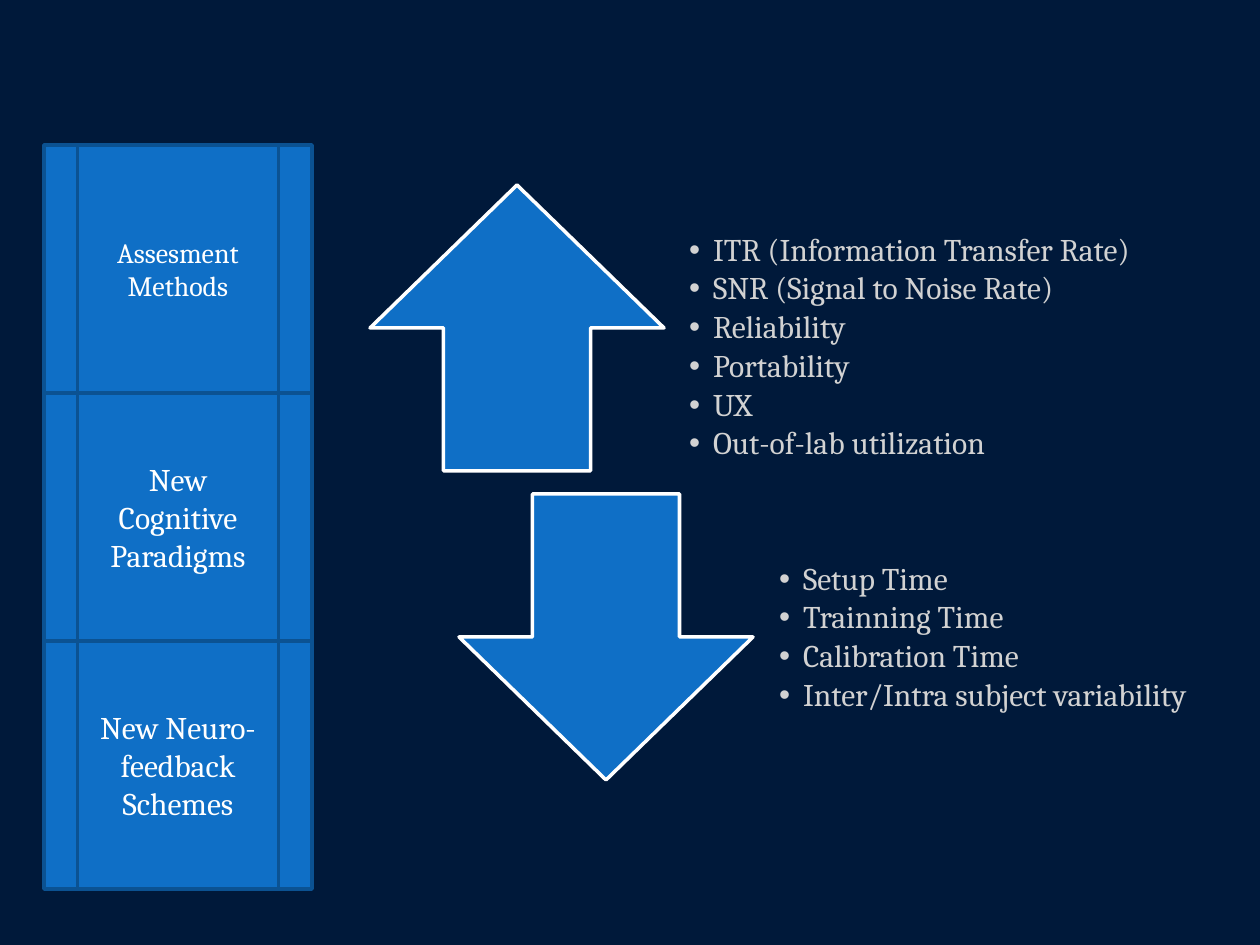
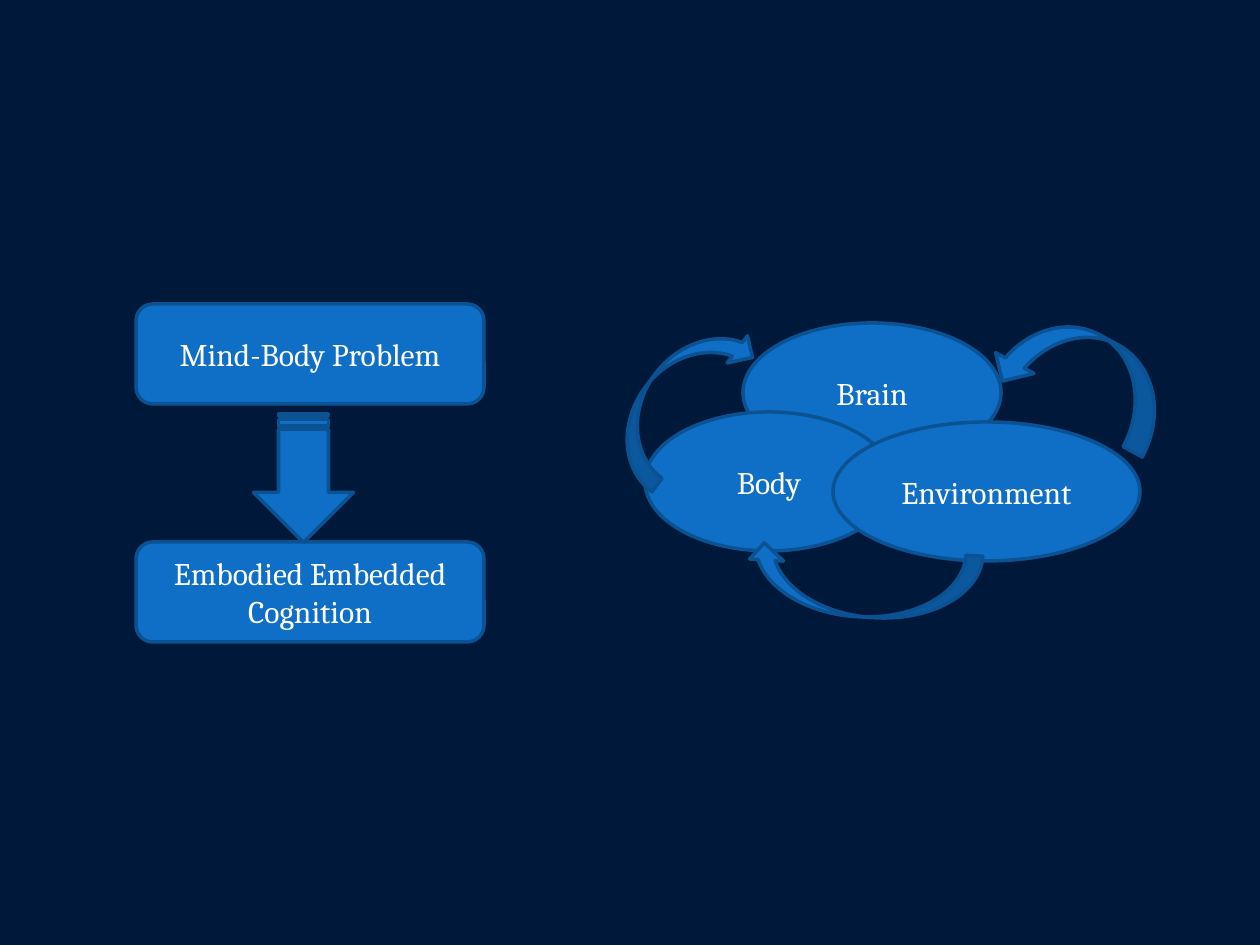
from pptx import Presentation
from pptx.dml.color import RGBColor
from pptx.enum.shapes import MSO_SHAPE as Kind
from pptx.enum.text import MSO_ANCHOR as Anchor, MSO_AUTO_SIZE as Fit, PP_ALIGN as Align
from pptx.util import Emu, Inches, Pt

SCALE = Inches(1) / 126  # EMU in one px
FONT = "Cambria"
HUE = {"back": "00193A", "fill": "0F6FC6", "edge": "0B5292",
       "white": "FFFFFF", "list": "D2D2D2"}


def px(n):
    return Emu(round(n * SCALE))


def color(name):
    return RGBColor.from_string(HUE[name])


def write(frame, lines, size=18, hue="white", align=Align.CENTER,
          anchor=Anchor.MIDDLE, space=None, after=0, hang=0):
    """Fill a text frame, one paragraph for each line."""
    frame.word_wrap = True
    frame.auto_size = Fit.NONE
    frame.vertical_anchor = anchor
    for i, line in enumerate(lines):
        par = frame.add_paragraph() if i else frame.paragraphs[0]
        par.alignment = align
        par.line_spacing = space
        par.space_before, par.space_after = Pt(0), Pt(after)
        if hang:
            props = par._p.get_or_add_pPr()
            props.set("marL", str(px(hang)))
            props.set("indent", str(-px(hang)))
        run = par.add_run()
        run.text = line
        run.font.name, run.font.size = FONT, Pt(size)
        run.font.color.rgb = color(hue)


def place(item, x, y, w, h):
    item.left, item.top, item.width, item.height = map(px, (x, y, w, h))


def draw(slide, kind, x, y, w, h, lines=(), size=18, edge="edge", turn=0, flip=False):
    item = slide.shapes.add_shape(kind, *map(px, (x, y, w, h)))
    item.shadow.inherit = False
    item.fill.solid()
    item.fill.fore_color.rgb = color("fill")
    item.line.color.rgb = color(edge)
    item.line.width = Pt(2)
    item.rotation = turn
    if flip:
        item.element.spPr.xfrm.set("flipH", "1")
    if lines:
        write(item.text_frame, lines, size=size)


# Slide 1: stack of goals
def stack(slide, x, y, w, h):
    goals = [(["Assesment", "Methods"], 16),
             (["New Cognitive Paradigms"], 18),
             (["New Neuro-feedback", "Schemes"], 18)]
    step = h / len(goals)
    for i, (lines, size) in enumerate(goals):
        draw(slide, Kind.FLOWCHART_PREDEFINED_PROCESS, x, y + i * step, w, step,
             lines, size)


# Slide 1: arrow with its list
def trend(slide, x, y, w, h, kind, body, gap, pad, lines):
    arrow = 294
    draw(slide, kind, x, y, arrow, h, edge="white")
    left = arrow + gap
    place(body, x + left, y + pad, w - left, h - pad)
    frame = body.text_frame
    frame.margin_left = frame.margin_right = px(24)
    frame.margin_top = frame.margin_bottom = 0
    write(frame, lines, hue="list", align=Align.LEFT, anchor=Anchor.TOP,
          space=0.9, after=2.7, hang=24)


# Slide 2: shift from problem to answer
def shift(slide, x, y, w, h):
    box = 100
    for top, line in [(0, "Mind-Body Problem"), (h - box, "Embodied Embedded Cognition")]:
        draw(slide, Kind.ROUNDED_RECTANGLE, x, y + top, w, box, [line])
    return x + 103, y + 124, 129, 100  # place of the arrow between


# Slide 2: three ovals
def ovals(slide, x, y):
    parts = [("Brain", 98, 0, 258), ("Body", 0, 89, 248), ("Environment", 188, 99, 307)]
    for name, left, top, wide in parts:
        draw(slide, Kind.OVAL, x + left, y + top, wide, 139, [name])


# Slide 2: curved arrows round the ovals
def loops(slide, x, y):
    bends = [(184, 142, 68, 236, 93.5, False),
             (395, -38, 87, 181, 118.5, True),
             (1, -18, 68, 185, 216.8, False)]
    for left, top, w, h, turn, flip in bends:
        draw(slide, Kind.CURVED_LEFT_ARROW, x + left, y + top, w, h,
             turn=turn, flip=flip)


def goals_slide(deck):
    slide = deck.slides.add_slide(deck.slide_layouts[3])
    title, more, less = slide.placeholders
    title.element.getparent().remove(title.element)
    trend(slide, 370, 185, 809, 286, Kind.UP_ARROW, more, 1, 49,
          ["ITR (Information Transfer Rate)", "SNR (Signal to Noise Rate)",
           "Reliability", "Portability", "UX", "Out-of-lab utilization"])
    trend(slide, 459, 494, 800, 286, Kind.DOWN_ARROW, less, 2, 69,
          ["Setup Time", "Trainning Time", "Calibration Time",
           "Inter/Intra subject variability"])
    stack(slide, 44, 145, 268, 744)


def mind_slide(deck):
    slide = deck.slides.add_slide(deck.slide_layouts[6])
    slot = shift(slide, 136, 304, 348, 338)
    ovals(slide, 645, 323)
    loops(slide, 645, 323)
    draw(slide, Kind.STRIPED_RIGHT_ARROW, *slot, turn=90)


def main():
    deck = Presentation()
    deck.slide_width, deck.slide_height = px(1260), px(945)
    back = deck.slide_master.background.fill
    back.solid()
    back.fore_color.rgb = color("back")
    goals_slide(deck)
    mind_slide(deck)
    deck.save("out.pptx")


if __name__ == "__main__":
    main()
